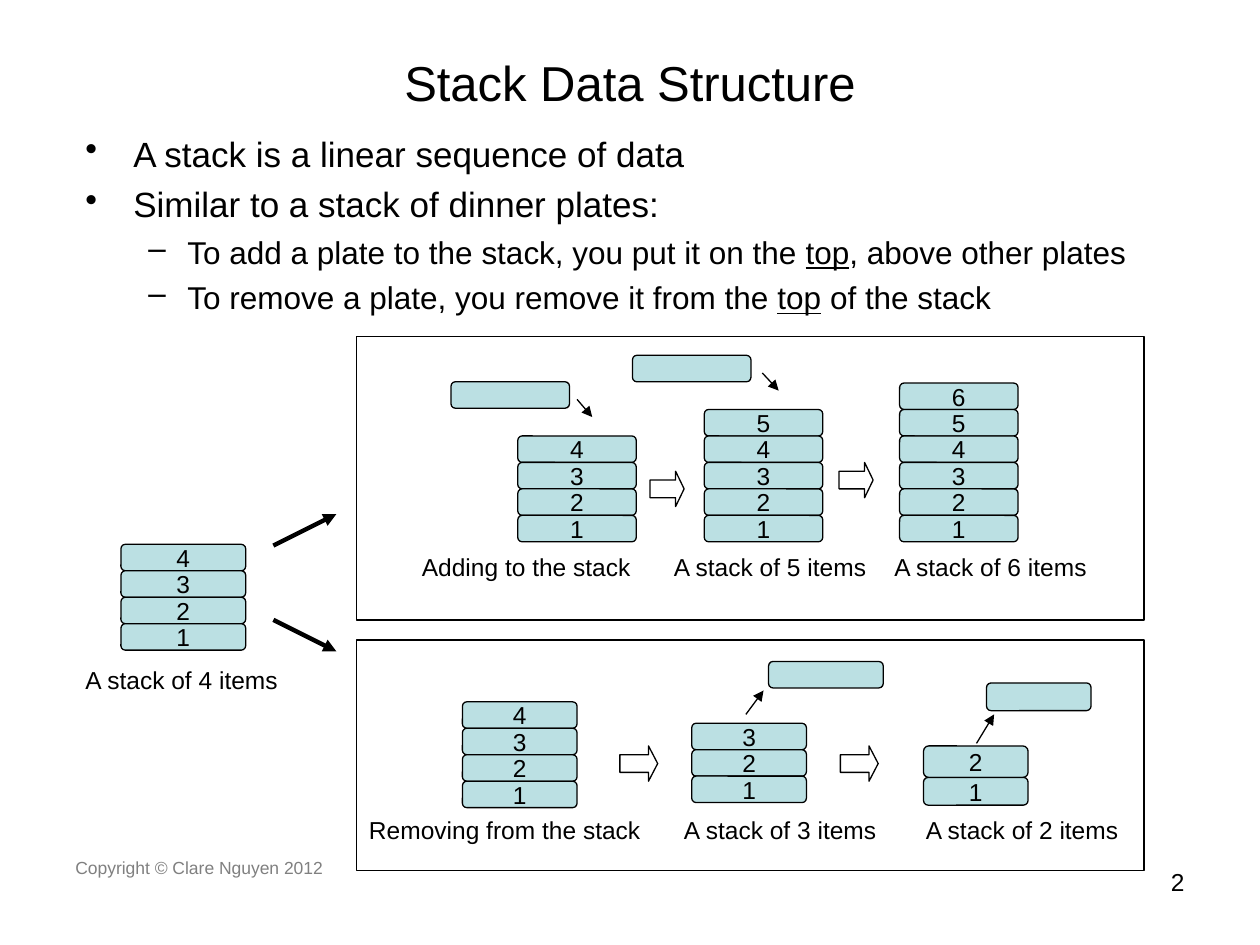
from lxml.etree import SubElement
from pptx import Presentation
from pptx.dml.color import RGBColor
from pptx.enum.shapes import MSO_CONNECTOR as Connector, MSO_SHAPE as Shape
from pptx.enum.text import MSO_ANCHOR as Anchor, PP_ALIGN as Align
from pptx.oxml.ns import qn
from pptx.util import Inches, Pt


def color(value):
    return RGBColor.from_string(value)


class SlideBuilder:
    font = "Arial"
    ink = "000000"
    gray = "808080"
    plate_fill = "BBE0E3"

    def __init__(self, page):
        self.page = page

    def style(self, para, size, ink=ink, align=Align.LEFT):
        para.alignment = align
        para.font.name = self.font
        para.font.size = Pt(size)
        para.font.color.rgb = color(ink)

    def title(self, text, left, top, width, height):
        box = self.page.shapes.title
        box.left, box.top = Inches(left), Inches(top)
        box.width, box.height = Inches(width), Inches(height)
        box.text_frame.text = text
        box.text_frame.vertical_anchor = Anchor.MIDDLE
        self.style(box.text_frame.paragraphs[0], 28, align=Align.CENTER)

    def text_frame(self, left, top, width, height):
        box = self.page.shapes.add_textbox(
            Inches(left), Inches(top), Inches(width), Inches(height))
        box.text_frame.word_wrap = True
        return box.text_frame

    def label(self, text, left, top, width=1.78, height=0.34, size=14,
              ink=ink, align=Align.LEFT):
        frame = self.text_frame(left, top, width, height)
        frame.text = text
        self.style(frame.paragraphs[0], size, ink, align)

    def bullets(self, items, left, top, width, height):
        levels = [("•", 20, 5, 0.38, 0.38), ("–", 18, 4.5, 0.81, 0.31)]
        frame = self.text_frame(left, top, width, height)
        for index, (level, parts) in enumerate(items):
            mark, size, space, margin, hanging = levels[level]
            para = frame.add_paragraph() if index else frame.paragraphs[0]
            para.level = level
            para.space_before = Pt(space)
            self.style(para, size)
            properties = para._p.get_or_add_pPr()
            properties.set("marL", str(Inches(margin)))
            properties.set("indent", str(-Inches(hanging)))
            bullet = SubElement(properties, qn("a:buChar"))
            bullet.set("char", mark)
            properties.insert_element_before(bullet, "a:tabLst", "a:defRPr")
            for position, text in enumerate(parts):
                span = para.add_run()
                span.text = text
                if position % 2:
                    span.font.underline = True

    def shape(self, kind, left, top, width, height, fill=None):
        shape = self.page.shapes.add_shape(
            kind, Inches(left), Inches(top), Inches(width), Inches(height))
        shape.shadow.inherit = False
        if fill:
            shape.fill.solid()
            shape.fill.fore_color.rgb = color(fill)
        else:
            shape.fill.background()
        shape.line.color.rgb = color(self.ink)
        shape.line.width = Pt(0.75)
        return shape

    def frame(self, left, top, width, height):
        self.shape(Shape.RECTANGLE, left, top, width, height)

    def block_arrow(self, left, top, width, ratio):
        arrow = self.shape(Shape.RIGHT_ARROW, left, top, width, 0.28)
        arrow.adjustments[1] = ratio

    def plate(self, left, top, width, height=0.21, text=""):
        plate = self.shape(Shape.ROUNDED_RECTANGLE, left, top, width, height,
                           self.plate_fill)
        if text:
            frame = plate.text_frame
            frame.text = text
            frame.word_wrap = False
            frame.vertical_anchor = Anchor.MIDDLE
            self.style(frame.paragraphs[0], 14, align=Align.CENTER)

    def stack(self, left, bottom, width, count, height=0.21):
        for number in range(count, 0, -1):
            self.plate(left, bottom - number * height, width, height, str(number))

    def arrow(self, start, end, weight=0.75):
        line = self.page.shapes.add_connector(
            Connector.STRAIGHT, *map(Inches, start + end))
        line.line.color.rgb = color(self.ink)
        line.line.width = Pt(weight)
        SubElement(line.line._get_or_add_ln(), qn("a:tailEnd")).set("type", "triangle")
        SubElement(line._element.spPr, qn("a:effectLst"))


def main():
    deck = Presentation()
    deck.slide_width, deck.slide_height = Inches(10), Inches(7.5)
    slide = SlideBuilder(deck.slides.add_slide(deck.slide_layouts[5]))

    slide.title("Stack Data Structure", 0.5, 0.3, 9, 0.7)
    slide.bullets([
        (0, ["A stack is a linear sequence of data"]),
        (0, ["Similar to a stack of dinner plates:"]),
        (1, ["To add a plate to the stack, you put it on the ", "top",
             ", above other plates"]),
        (1, ["To remove a plate, you remove it from the ", "top",
             " of the stack"]),
    ], 0.58, 1, 9, 1.6)
    slide.label("Copyright © Clare Nguyen 2012", 0.5, 6.75, 3.17, 0.52,
                size=10, ink=slide.gray)
    slide.label("2", 7.17, 6.83, 2.33, 0.52, align=Align.RIGHT)

    slide.stack(0.96, 5.16, 0.99, 4)
    slide.label("A stack of 4 items", 0.58, 5.23)
    slide.arrow((2.17, 4.33), (2.67, 4.08), 2.5)
    slide.arrow((2.17, 4.92), (2.67, 5.17), 2.5)

    slide.frame(2.83, 2.67, 6.25, 2.25)
    for text, label_left, stack_left, count in [
        ("Adding to the stack", 3.25, 4.11, 4),
        ("A stack of 5 items", 5.25, 5.59, 5),
        ("A stack of 6 items", 7, 7.14, 6),
    ]:
        slide.label(text, label_left, 4.33, 1.86)
        slide.stack(stack_left, 4.3, 0.94, count)
    slide.plate(3.58, 3.03, 0.94)
    slide.plate(5.02, 2.82, 0.94)
    slide.arrow((4.58, 3.17), (4.7, 3.31))
    slide.arrow((6.05, 2.96), (6.18, 3.1))
    slide.block_arrow(5.16, 3.74, 0.27, 0.25)
    slide.block_arrow(6.66, 3.67, 0.27, 0.25)

    slide.frame(2.83, 5.08, 6.25, 1.83)
    for text, left, width in [
        ("Removing from the stack", 2.83, 2.45),
        ("A stack of 3 items", 5.33, 1.78),
        ("A stack of 2 items", 7.25, 1.78),
    ]:
        slide.label(text, left, 6.42, width)
    slide.stack(3.67, 6.41, 0.91, 4)
    slide.stack(5.49, 6.37, 0.91, 3)
    slide.plate(7.33, 5.92, 0.83, 0.25, "2")
    slide.plate(7.33, 6.17, 0.83, 0.22, "1")
    slide.plate(6.1, 5.25, 0.91)
    slide.plate(7.83, 5.42, 0.83, 0.22)
    slide.arrow((5.92, 5.67), (6.06, 5.48))
    slide.arrow((7.75, 5.9), (7.89, 5.67))
    for left in (4.92, 6.67):
        slide.block_arrow(left, 5.92, 0.3, 0.26)

    deck.save("out.pptx")


if __name__ == "__main__":
    main()
